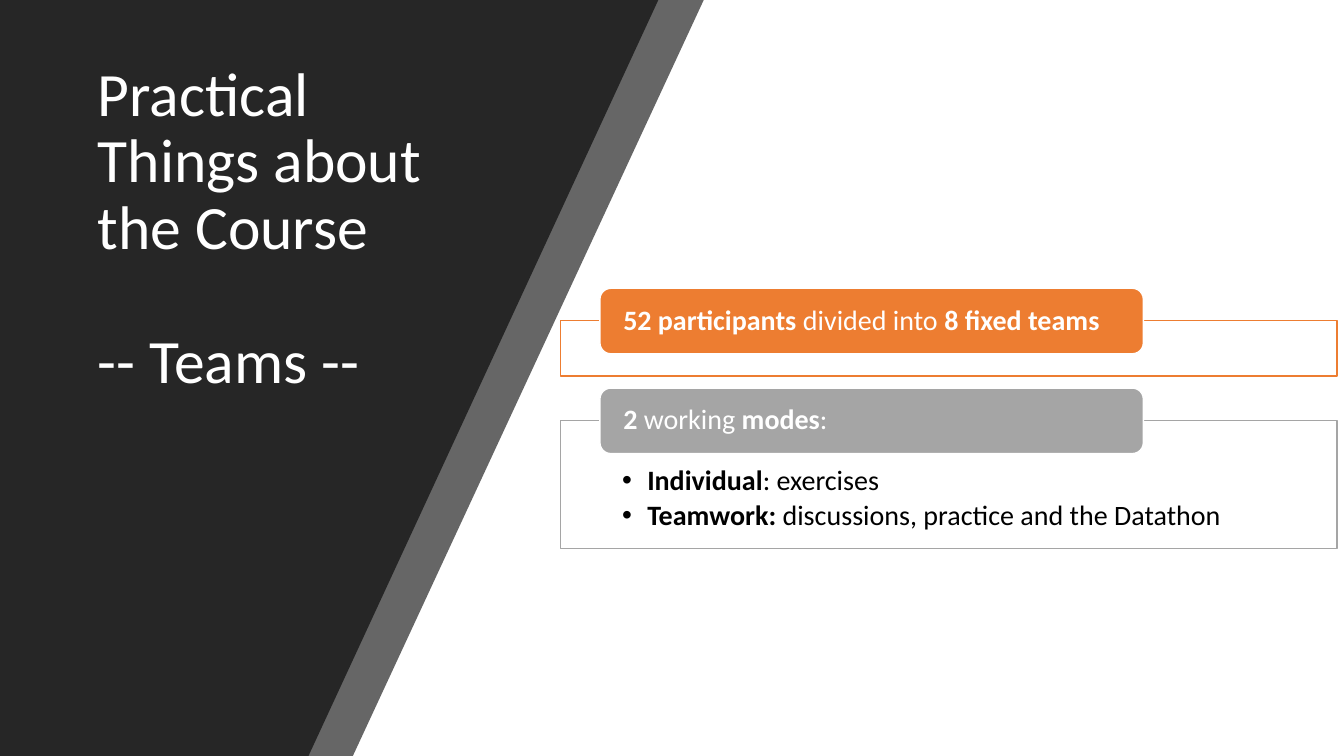
from lxml import etree
from pptx import Presentation
from pptx import util as u
from pptx.dml.color import RGBColor
from pptx.enum import shapes, text
from pptx.oxml.ns import qn

EMU_PER_PX = 9144
DARK = RGBColor(0x26, 0x26, 0x26)
WHITE = RGBColor(0xFF, 0xFF, 0xFF)
BLACK = RGBColor(0x00, 0x00, 0x00)
ORANGE = RGBColor(0xED, 0x7D, 0x31)
GRAY = RGBColor(0xA5, 0xA5, 0xA5)


def px(n):
    """Turn whole px into EMU."""
    return u.Emu(n * EMU_PER_PX)


class Deck:
    """Hold the style and the current slide."""

    font = "Calibri"
    line_spacing = 0.9

    def __init__(self, width, height):
        """Open a deck with one blank slide."""
        self.prs = Presentation()
        self.prs.slide_width, self.prs.slide_height = px(width), px(height)
        self.s = self.prs.slides.add_slide(self.prs.slide_layouts[6])

    def paint(self, sp, fill, line=None, alpha=100):
        """Set fill, outline and opacity in percent."""
        sp.shadow.inherit = False
        sp.fill.solid()
        sp.fill.fore_color.rgb = fill
        if alpha < 100:
            color = sp._element.spPr.find(qn("a:solidFill"))[0]
            etree.SubElement(color, qn("a:alpha"), val=str(alpha * 1000))
        if line is None:
            sp.line.fill.background()
        else:
            sp.line.color.rgb = line
            sp.line.width = u.Pt(1)
        return sp

    def slant(self, top, bottom, height, fill, alpha=100):
        """Draw a left panel with a slanted right edge."""
        fb = self.s.shapes.build_freeform(0, 0, scale=EMU_PER_PX)
        fb.add_line_segments([(top, 0), (bottom, height), (0, height)])
        return self.paint(fb.convert_to_shape(), fill, alpha=alpha)

    def box(self, kind, x, y, w, h, fill, line, alpha=100):
        """Draw a preset shape."""
        sp = self.s.shapes.add_shape(kind, px(x), px(y), px(w), px(h))
        return self.paint(sp, fill, line, alpha)

    def textbox(self, x, y, w, h, lines, **fmt):
        """Add a text box."""
        sp = self.s.shapes.add_textbox(px(x), px(y), px(w), px(h))
        self.put_text(sp, lines, **fmt)

    def put_text(self, sp, lines, size=20, color=WHITE, inset=(5, 5),
                 anchor=text.MSO_ANCHOR.MIDDLE, gap=0, bullet=False):
        """Put lines into a shape, with **marks** around bold words."""
        tf = sp.text_frame
        tf.word_wrap = True
        tf.vertical_anchor = anchor
        tf.margin_left = tf.margin_right = px(inset[0])
        tf.margin_top = tf.margin_bottom = px(inset[1])
        for i, line in enumerate(lines):
            p = tf.add_paragraph() if i else tf.paragraphs[0]
            if bullet:
                pPr = p._p.get_or_add_pPr()
                pPr.set("marL", str(px(25)))
                pPr.set("indent", str(px(-25)))
                etree.SubElement(pPr, qn("a:buFont"), typeface="Arial")
                etree.SubElement(pPr, qn("a:buChar"), char="•")
            p.alignment = text.PP_ALIGN.LEFT
            p.line_spacing = self.line_spacing
            if i:
                p.space_before = u.Pt(gap)
            for j, part in enumerate(line.split("**")):
                if part:
                    r = p.add_run()
                    r.text = part
                    r.font.name = self.font
                    r.font.size = u.Pt(size)
                    r.font.bold = j % 2 == 1
                    r.font.color.rgb = color

    def section(self, y, height, color, heading, points=()):
        """Draw a framed section with a heading tab and bullet points."""
        self.box(shapes.MSO_SHAPE.RECTANGLE, 556, y + 32, 770, height,
                 WHITE, color, alpha=90)
        if points:
            self.textbox(601, y + 62, 682, 94, points, color=BLACK,
                         inset=(16, 16), anchor=text.MSO_ANCHOR.TOP,
                         gap=3, bullet=True)
        tab = self.box(shapes.MSO_SHAPE.ROUNDED_RECTANGLE, 595, y, 539, 65,
                       color, WHITE)
        self.put_text(tab, [heading], inset=(20, 0))


def main():
    """Build the teams slide."""
    deck = Deck(1333, 750)
    deck.slant(698, 350, 750, DARK, alpha=70)
    deck.slant(653, 306, 750, DARK)
    deck.textbox(92, 48, 358, 360,
                 ["Practical Things about the Course", "-- Teams --"],
                 size=44, gap=48)
    deck.section(286, 55, ORANGE,
                 "**52 participants **divided into **8 fixed teams**")
    deck.section(385, 127, GRAY, "**2** working **modes**:",
                 ["**Individual**: exercises",
                  "**Teamwork:** discussions, practice and the Datathon"])
    deck.prs.save("out.pptx")


if __name__ == "__main__":
    main()
